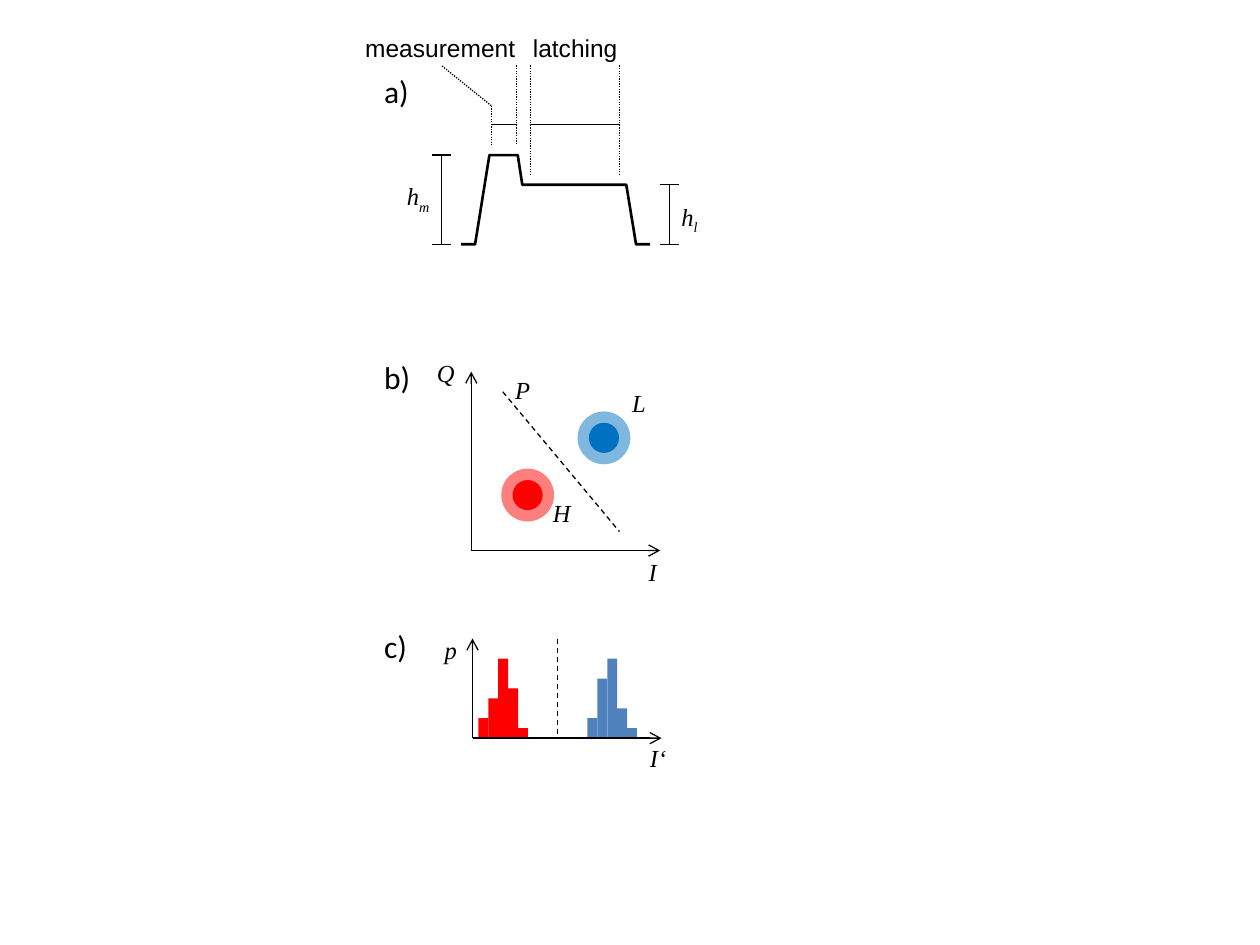
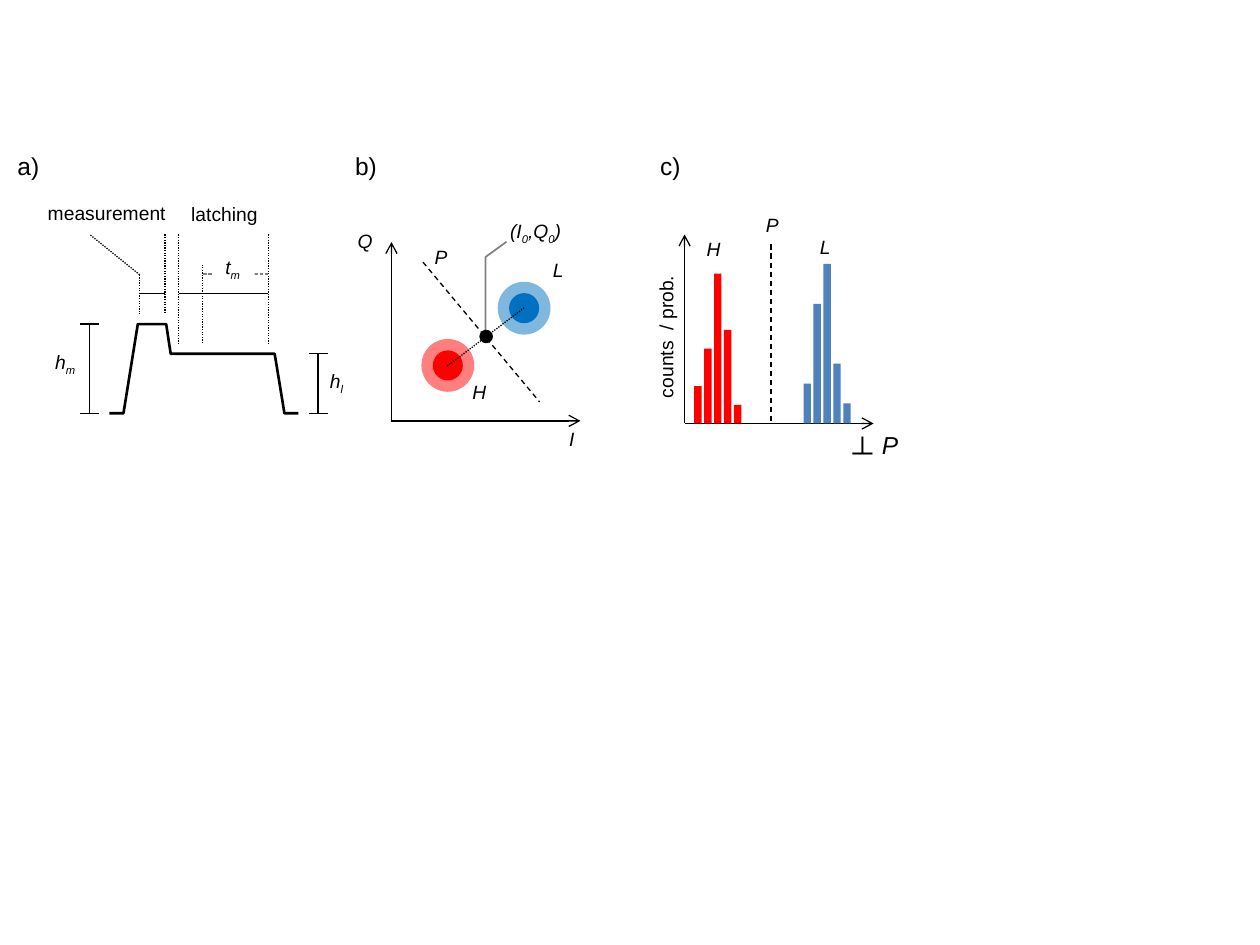
import pptx
import pptx.dml.color
import pptx.enum.dml
import pptx.enum.shapes
import pptx.enum.text
import pptx.oxml.ns
import pptx.util
from lxml import etree

Pt = pptx.util.Pt
qn = pptx.oxml.ns.qn
DASH = pptx.enum.dml.MSO_LINE
SHAPE = pptx.enum.shapes.MSO_SHAPE

COLORS = {
    "ink": "000000",
    "gray": "808080",
    "paper": "FFFFFF",
    "high": "FF0000",
    "low": "0070C0",
    "low_bar": "4F81BD",
}
SERIF, SANS, BODY = "Times New Roman", "Arial", "Calibri"
HIGH_COUNTS = [2, 4, 8, 5, 1]
LOW_COUNTS = [2, 6, 8, 3, 1]


def rgb(name):
    return pptx.dml.color.RGBColor.from_string(COLORS[name])


# Basic elements
def add_line(s, x1, y1, x2, y2, dash=None, arrow=False, color="ink"):
    c = s.shapes.add_connector(pptx.enum.shapes.MSO_CONNECTOR.STRAIGHT,
                               Pt(x1), Pt(y1), Pt(x2), Pt(y2))
    c.line.color.rgb = rgb(color)
    c.line.width = Pt(0.75)
    if dash:
        c.line.dash_style = dash
    sppr = c._element.spPr
    if arrow:
        etree.SubElement(sppr.find(qn("a:ln")), qn("a:tailEnd"), type="arrow")
    etree.SubElement(sppr, qn("a:effectLst"))


def add_path(s, points, color, width):
    points = [(Pt(x), Pt(y)) for x, y in points]
    fb = s.shapes.build_freeform(*points[0], scale=1.0)
    fb.add_line_segments(points[1:], close=False)
    sp = fb.convert_to_shape()
    sp.shadow.inherit = False
    sp.fill.background()
    sp.line.color.rgb = rgb(color)
    sp.line.width = Pt(width)


def add_filled(s, kind, x, y, w, h, color, alpha=None):
    sp = s.shapes.add_shape(kind, Pt(x), Pt(y), Pt(w), Pt(h))
    sp.shadow.inherit = False
    sp.fill.solid()
    sp.fill.fore_color.rgb = rgb(color)
    sp.line.fill.background()
    if alpha:
        clr = sp._element.spPr.find(qn("a:solidFill")).find(qn("a:srgbClr"))
        etree.SubElement(clr, qn("a:alpha"), val=str(alpha * 1000))
    return sp


def add_disc(s, x, y, d, color, alpha=None):
    return add_filled(s, SHAPE.OVAL, x - d / 2, y - d / 2, d, d, color, alpha)


def add_label(s, text, x, y, w, size, font, italic=False, fill=None, rotation=0):
    """Parts of the text between bars are subscripts: h|m."""
    sp = s.shapes.add_textbox(Pt(x), Pt(y), Pt(w), Pt(size * 1.2 + 7.2))
    sp.rotation = rotation
    if fill:
        sp.fill.solid()
        sp.fill.fore_color.rgb = rgb(fill)
    tf = sp.text_frame
    tf.word_wrap = False
    tf.auto_size = pptx.enum.text.MSO_AUTO_SIZE.SHAPE_TO_FIT_TEXT
    p = tf.paragraphs[0]
    for i, part in enumerate(text.split("|")):
        r = p.add_run()
        r.text = part
        if i % 2:
            r._r.get_or_add_rPr().set("baseline", "-25000")
    p.font.name = font
    p.font.size = Pt(size)
    p.font.italic = italic
    p.font.color.rgb = rgb("ink")


def add_labels(s, labels, size, font, italic=False):
    for text, x, y, w in labels:
        add_label(s, text, x, y, w, size, font, italic)


# Parts of the diagrams
def add_axes(s, x, y, up, right=108):
    add_line(s, x, y, x, y - up, arrow=True)
    add_line(s, x, y, x + right, y, arrow=True)


def add_height_mark(s, x, y, height):
    g = s.shapes.add_group_shape()
    for end in (y - height, y):
        add_line(g, x - 5.4, end, x + 5.4, end)
    add_line(g, x, y, x, y - height)


def add_pulse(s, x, y):
    """Two-level pulse whose baseline starts at x, y."""
    outline = [(0, 0), (8, 0), (16.2, -51), (32.4, -51),
               (35, -34), (94.4, -34), (100, 0), (108, 0)]
    add_path(s, [(x + dx, y + dy) for dx, dy in outline], "ink", 1.5)
    guides = [(31.7, -102.2, 31.7, -56.9), (17.2, -79.2, 17.2, -56.9),
              (90.7, -102.2, 90.7, -39.6), (39.6, -102.2, 39.6, -39.6),
              (17.2, -79.2, -11.3, -102.2)]
    for x1, y1, x2, y2 in guides:
        add_line(s, x + x1, y + y1, x + x2, y + y2, DASH.ROUND_DOT)
    for start, end in ((17, 31.7), (39.6, 90.7)):
        add_line(s, x + start, y - 68.4, x + end, y - 68.4)
    add_height_mark(s, x - 11.3, y, 51)
    add_height_mark(s, x + 119.2, y, 34)


def add_iq_plane(s, x, y):
    """Two states split by a boundary, with the axes meeting at x, y."""
    add_axes(s, x, y, 102.2)
    g = s.shapes.add_group_shape()
    states = [(32.2, -31.7, "high"), (75.8, -64.4, "low")]
    for size, alpha in ((30.2, 50), (17.2, None)):
        for dx, dy, color in states:
            add_disc(g, x + dx, y + dy, size, color, alpha)
    add_line(s, x + 18, y - 90.7, x + 84.7, y - 10.8, DASH.DASH)


def add_bars(s, x, y, counts, unit, width, color):
    pitch = 5.67
    for i, count in enumerate(counts):
        h = count * unit
        add_filled(s, SHAPE.RECTANGLE, x + i * pitch, y - h, width, h, color)


def pulse_slide(prs):
    s = prs.slides.add_slide(prs.slide_layouts[6])
    # a) pulse
    add_pulse(s, 263.5, 139.6)
    add_labels(s, [("measurement", 201.6, 15.1, 100.8),
                   ("latching", 297.4, 15.1, 63.4)], 14, SANS)
    # b) IQ plane
    add_iq_plane(s, 269.3, 314.6)
    # c) histogram
    x, y = 270, 421.8
    add_bars(s, x + 3.4, y, HIGH_COUNTS, 5.67, 5.67, "high")
    add_bars(s, x + 65.7, y, LOW_COUNTS, 5.67, 5.67, "low_bar")
    add_line(s, x + 48.7, y - 56.9, x + 48.7, y, DASH.DASH)
    add_axes(s, x, y, 56.9)
    # Labels
    add_labels(s, [("a)", 212.4, 37.4, 28.8), ("b)", 212.4, 200.9, 29.5),
                   ("c)", 212.4, 355, 28.1)], 18, BODY)
    add_labels(s, [("h|m", 225.4, 100.1, 28.1), ("h|l", 382.3, 111.6, 25.2),
                   ("Q", 242.6, 200.9, 24.5), ("I", 363.6, 314.6, 19.4),
                   ("H", 308.9, 280.8, 24.5), ("L", 354.2, 218.2, 22.3),
                   ("P", 287.3, 211, 23), ("p", 247, 359.3, 21.6),
                   ("I‘", 364.3, 421.2, 23.8)], 14, SERIF, True)


def readout_slide(prs):
    s = prs.slides.add_slide(prs.slide_layouts[6])
    # a) pulse with measurement time
    add_pulse(s, 62.6, 236.2)
    add_line(s, 115.9, 151.2, 115.9, 196.6, DASH.ROUND_DOT)
    add_line(s, 115.9, 156.6, 153.4, 156.6, DASH.SQUARE_DOT, color="gray")
    add_label(s, "t|m", 121.7, 142.6, 23.8, 11, SANS, True, fill="paper")
    add_labels(s, [("measurement", 20.2, 111.6, 82.1),
                   ("latching", 102.2, 112.3, 52.6)], 11, SANS)
    # b) IQ plane with midpoint
    add_path(s, [(277.5, 191.5), (277.5, 146.9), (289.4, 138.2)], "gray", 1)
    add_iq_plane(s, 223.7, 240.5)
    add_line(s, 299.5, 175.9, 255.6, 209.2, DASH.ROUND_DOT)
    midpoint = add_disc(s, 277.8, 192.3, 5.7, "ink")
    midpoint.line.color.rgb = rgb("ink")
    midpoint.line.width = Pt(2)
    # c) histogram
    x, y = 391.2, 242
    add_axes(s, x, y, 108)
    add_bars(s, x + 5.5, y, HIGH_COUNTS, 10.7, 4.25, "high")
    add_bars(s, x + 68, y, LOW_COUNTS, 11.4, 4.25, "low_bar")
    add_line(s, 440.6, 139.7, 440.6, y, DASH.DASH)
    add_label(s, "counts  / prob.", 338.4, 182.2, 84.2, 11, SANS, rotation=270)
    add_label(s, "┴", 480.2, 244.8, 25.9, 16, SANS, True)
    add_label(s, "P", 496.8, 241.9, 23.8, 14, SANS, True)
    # Labels
    add_labels(s, [("a)", 2.9, 82.8, 27.4), ("b)", 195.8, 82.8, 27.4),
                   ("c)", 370.1, 82.8, 25.9)], 14, SANS)
    add_labels(s, [("h|m", 24.5, 196.6, 26.6), ("h|l", 181.4, 207.4, 22.3),
                   ("Q", 197.3, 127.4, 23), ("I", 318.2, 240.5, 17.3),
                   ("H", 262.8, 213.8, 22.3), ("L", 308.9, 144, 20.9),
                   ("P", 241.2, 136.8, 22.3),
                   ("(I|0|,Q|0|)", 284.4, 121.7, 44.6),
                   ("P", 430.6, 118.1, 22.3), ("H", 396.7, 131.8, 20.9),
                   ("L", 461.5, 131, 18.7)], 11, SANS, True)


def main():
    prs = pptx.Presentation()
    prs.slide_width, prs.slide_height = Pt(720), Pt(540)
    pulse_slide(prs)
    readout_slide(prs)
    prs.save("out.pptx")


if __name__ == "__main__":
    main()
